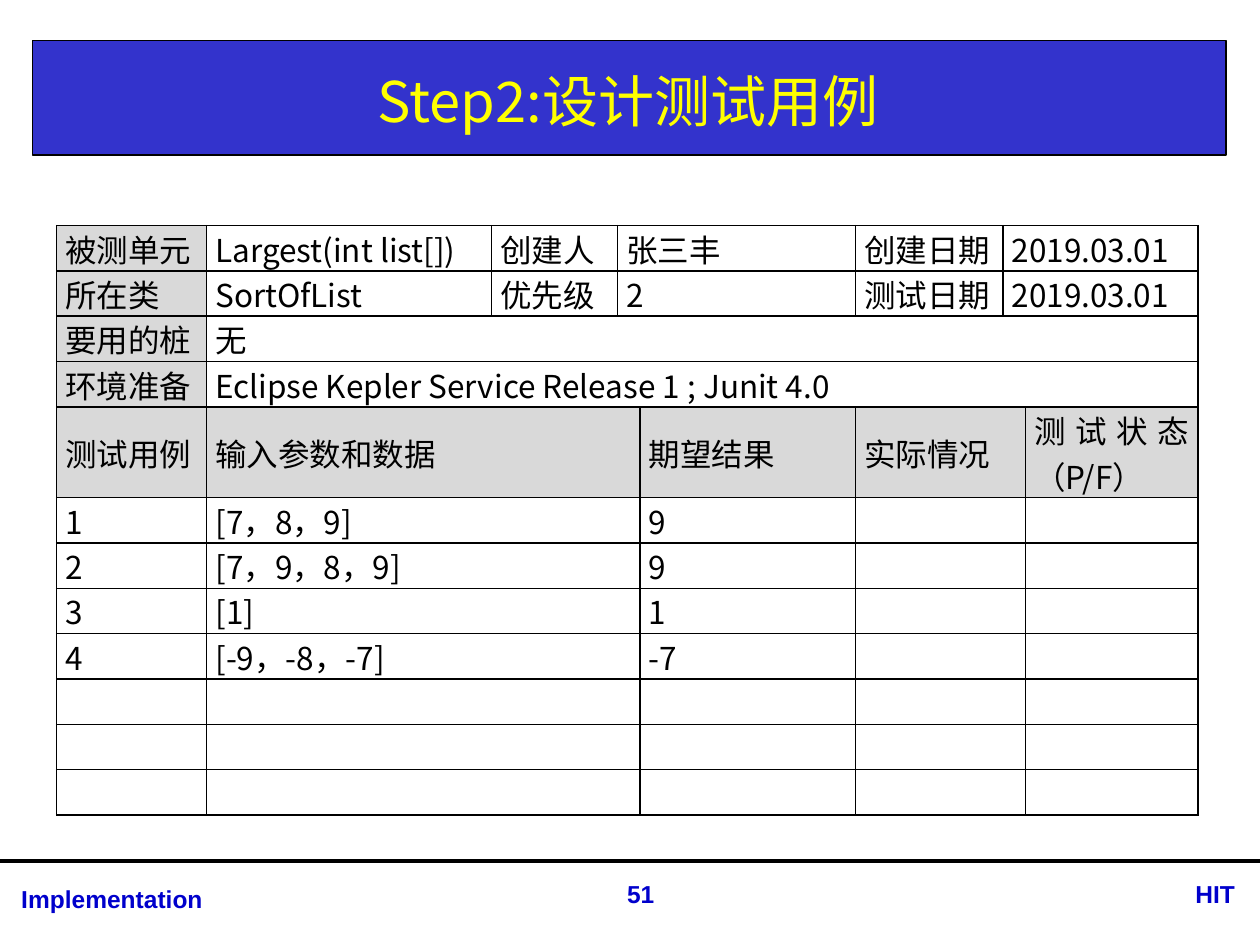
from lxml.etree import SubElement
from pptx import Presentation
from pptx.dml.color import RGBColor
from pptx.enum.shapes import MSO_CONNECTOR, MSO_SHAPE
from pptx.enum.text import MSO_ANCHOR, MSO_AUTO_SIZE, PP_ALIGN
from pptx.oxml.ns import qn
from pptx.util import Inches, Pt

COLOURS = {
    "banner": "3333CC",
    "title": "FFFF00",
    "footer": "0000CC",
    "ink": "000000",
    "header": "D9D9D9",
}
BODY_FONT = "Noto Sans CJK SC"


def style_paragraph(para, size, font_name, colour, align, bold=False):
    para.alignment = align
    font = para.font
    font.size = Pt(size)
    font.bold = bold
    font.name = font_name
    font.color.rgb = RGBColor.from_string(COLOURS[colour])
    defaults = para._p.pPr.find(qn("a:defRPr"))
    SubElement(defaults, qn("a:ea")).set("typeface", font_name)


def add_border(cell):
    properties = cell._tc.get_or_add_tcPr()
    for side in ("a:lnL", "a:lnR", "a:lnT", "a:lnB"):
        line = SubElement(properties, qn(side), w=str(Pt(1)))
        fill = SubElement(line, qn("a:solidFill"))
        SubElement(fill, qn("a:srgbClr")).set("val", COLOURS["ink"])


deck = Presentation()
deck.slide_width = Inches(10)
deck.slide_height = Inches(7.5)
page = deck.slides.add_slide(deck.slide_layouts[6])

banner = page.shapes.add_shape(
    MSO_SHAPE.RECTANGLE, Inches(0.26), Inches(0.32), Inches(9.47), Inches(0.91)
)
banner.shadow.inherit = False
banner.fill.solid()
banner.fill.fore_color.rgb = RGBColor.from_string(COLOURS["banner"])
banner.line.color.rgb = RGBColor.from_string(COLOURS["ink"])
banner.line.width = Pt(0.75)

rule = page.shapes.add_connector(
    MSO_CONNECTOR.STRAIGHT, Inches(0), Inches(6.83), Inches(10), Inches(6.83)
)
rule.line.color.rgb = RGBColor.from_string(COLOURS["ink"])
rule.line.width = Pt(2.25)
SubElement(rule._element.spPr, qn("a:effectLst"))

footers = [
    ("Implementation", 0.07, 6.97, 3.85, PP_ALIGN.LEFT),
    ("HIT", 8.87, 6.93, 1.03, PP_ALIGN.RIGHT),
    ("51", 4.57, 6.93, 1.03, PP_ALIGN.CENTER),
]
for text, left, top, width, align in footers:
    box = page.shapes.add_textbox(Inches(left), Inches(top), Inches(width), Inches(0.34))
    box.text_frame.word_wrap = True
    box.text_frame.auto_size = MSO_AUTO_SIZE.SHAPE_TO_FIT_TEXT
    para = box.text_frame.paragraphs[0]
    para.text = text
    style_paragraph(para, 14, "Arial", "footer", align, bold=True)

title = page.shapes.add_textbox(Inches(0.26), Inches(0.36), Inches(9.45), Inches(0.87))
title.text_frame.word_wrap = True
title.text_frame.vertical_anchor = MSO_ANCHOR.MIDDLE
para = title.text_frame.paragraphs[0]
para.text = "Step2:设计测试用例"
style_paragraph(para, 32, BODY_FONT, "title", PP_ALIGN.CENTER)

column_widths = [1.19, 2.26, 1, 0.18, 1.71, 1.17, 0.18, 1.37]
info_spans = [1, 1, 1, 2, 1, 2]
wide_spans = [1, 7]
case_spans = [1, 3, 1, 2, 1]
rows = [
    (info_spans, ["被测单元", "Largest(int list[])", "创建人", "张三丰", "创建日期", "2019.03.01"]),
    (info_spans, ["所在类", "SortOfList", "优先级", "2", "测试日期", "2019.03.01"]),
    (wide_spans, ["要用的桩", "无"]),
    (wide_spans, ["环境准备", "Eclipse Kepler Service Release 1 ; Junit 4.0"]),
    (case_spans, ["测试用例", "输入参数和数据", "期望结果", "实际情况", "测试状态（P/F）"]),
    (case_spans, ["1", "[7，8，9]", "9", "", ""]),
    (case_spans, ["2", "[7，9，8，9]", "9", "", ""]),
    (case_spans, ["3", "[1]", "1", "", ""]),
    (case_spans, ["4", "[-9，-8，-7]", "-7", "", ""]),
] + [(case_spans, [""] * 5)] * 3
header_row = 4
row_height = 0.36

table = page.shapes.add_table(
    len(rows), len(column_widths), Inches(0.45), Inches(1.79),
    Inches(sum(column_widths)), Inches(row_height * (len(rows) + 1)),
).table
table.first_row = False
table.horz_banding = False
for column, width in zip(table.columns, column_widths):
    column.width = Inches(width)

for row_index, (spans, texts) in enumerate(rows):
    is_header = row_index == header_row
    table.rows[row_index].height = Inches(row_height * (2 if is_header else 1))
    for cell in table.rows[row_index].cells:
        add_border(cell)
        cell.fill.background()
    start = 0
    for span, text in zip(spans, texts):
        cell = table.cell(row_index, start)
        if span > 1:
            cell.merge(table.cell(row_index, start + span - 1))
        cell.margin_left = cell.margin_right = Inches(0.07)
        cell.margin_top = cell.margin_bottom = 0
        cell.vertical_anchor = MSO_ANCHOR.MIDDLE
        if is_header or (start == 0 and row_index < header_row):
            cell.fill.solid()
            cell.fill.fore_color.rgb = RGBColor.from_string(COLOURS["header"])
        para = cell.text_frame.paragraphs[0]
        para.text = text
        style_paragraph(para, 18, BODY_FONT, "ink", PP_ALIGN.JUSTIFY)
        start += span

deck.save("out.pptx")
